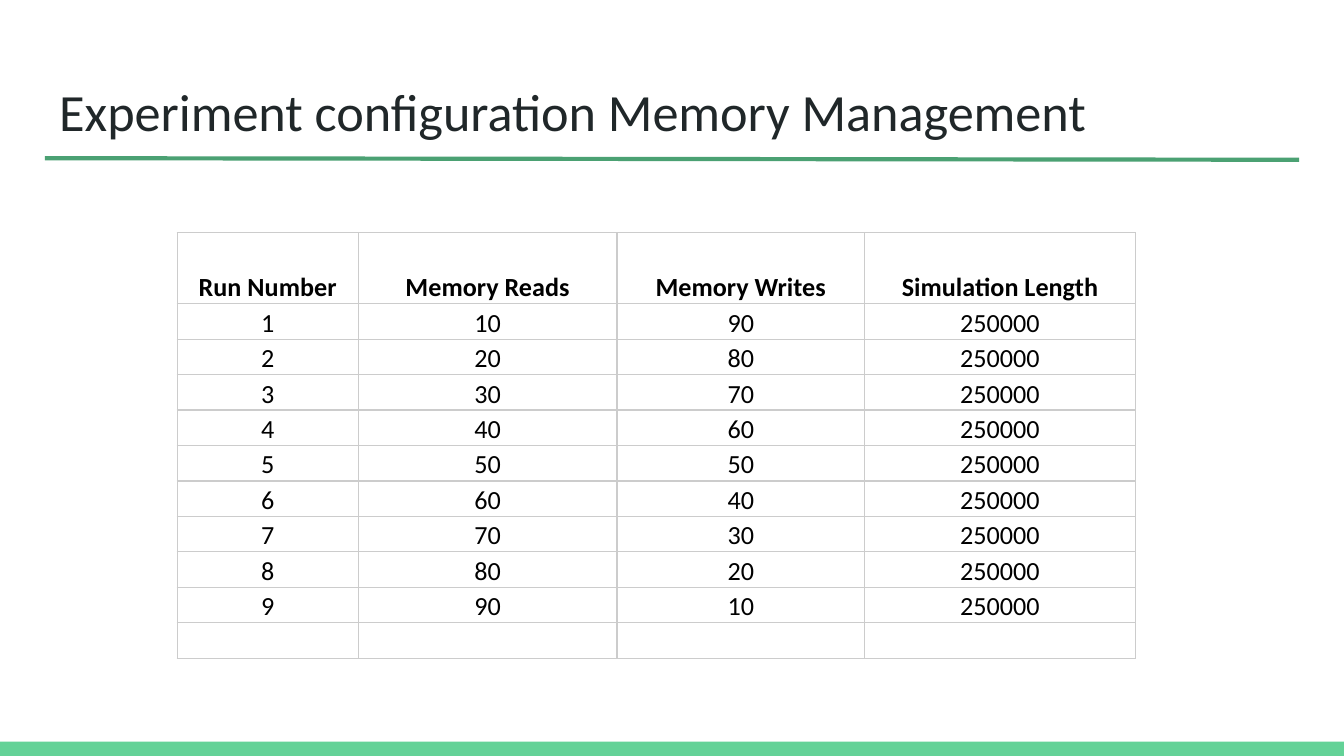
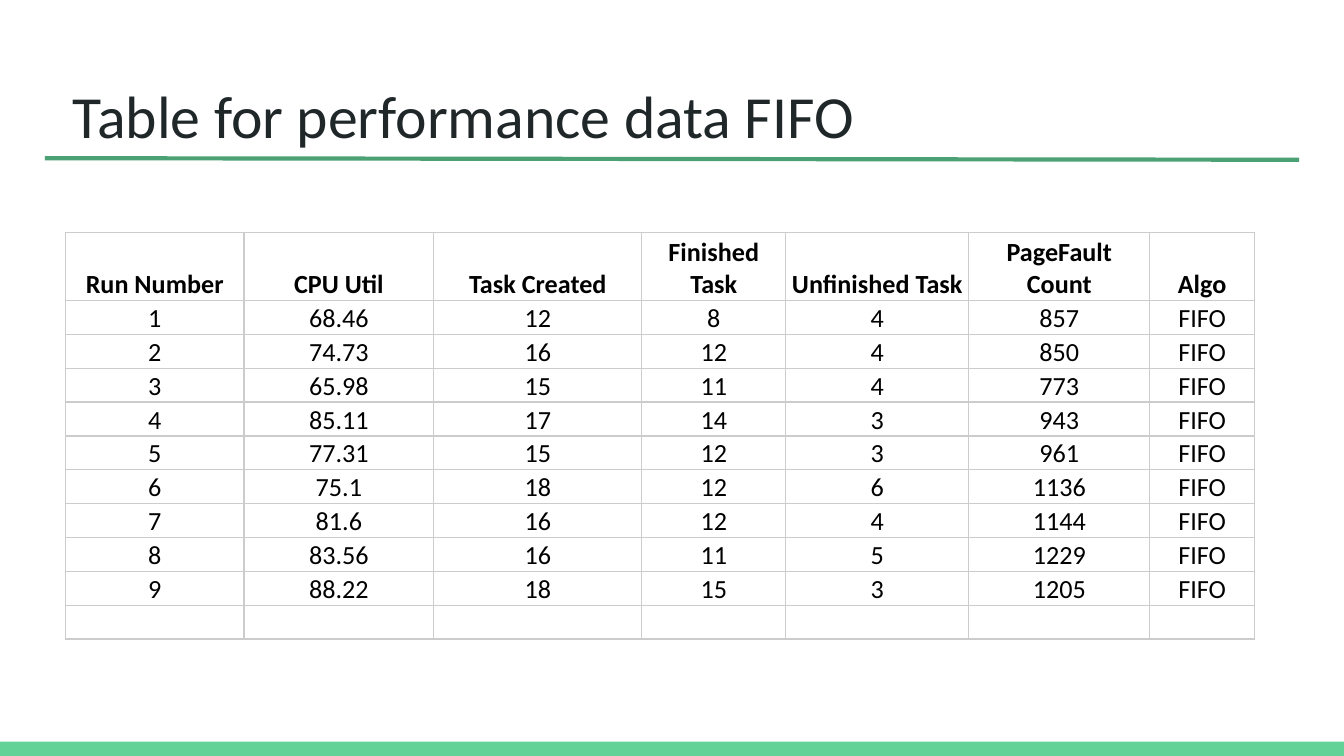
from lxml.etree import SubElement
from pptx import Presentation
from pptx.dml.color import RGBColor
from pptx.enum.shapes import MSO_CONNECTOR, MSO_SHAPE
from pptx.enum.text import MSO_ANCHOR, PP_ALIGN
from pptx.oxml.ns import qn
from pptx.util import Cm, Pt

FONT = "Calibri"
INK, BLACK, GREEN, BAND, GRID = "202729", "000000", "4BA173", "63D297", "CCCCCC"
WIDE, HIGH, FOOT = 25.4, 14.29, 0.27
TOP = 4.4

FAULTS = [
    ("68.46", 12, 8, 4, 857),
    ("74.73", 16, 12, 4, 850),
    ("65.98", 15, 11, 4, 773),
    ("85.11", 17, 14, 3, 943),
    ("77.31", 15, 12, 3, 961),
    ("75.1", 18, 12, 6, 1136),
    ("81.6", 16, 12, 4, 1144),
    ("83.56", 16, 11, 5, 1229),
    ("88.22", 18, 15, 3, 1205),
]

SLIDES = [
    {
        "title": "Experiment configuration Memory Management",
        "size": 28,
        "left": 3.35,
        "row": 0.67,
        "cols": [3.42, 4.89, 4.68, 5.12],
        "head": ["Run Number", "Memory Reads", "Memory Writes", "Simulation Length"],
        "body": [(run, run * 10, 100 - run * 10, 250000) for run in range(1, 10)],
    },
    {
        "title": " Table for performance data FIFO",
        "size": 32,
        "left": 1.24,
        "row": 0.64,
        "cols": [3.37, 3.59, 3.93, 2.72, 3.46, 3.42, 1.98],
        "head": ["Run Number", "CPU Util", "Task Created", "Finished Task",
                 "Unfinished Task", "PageFault Count", "Algo"],
        "body": [(run, *vals, "FIFO") for run, vals in enumerate(FAULTS, 1)],
    },
]


def paint(hue):
    return RGBColor.from_string(hue)


def style(para, size, hue, bold=False):
    for run in para.runs:
        run.font.name = FONT
        run.font.size = Pt(size)
        run.font.bold = bold
        run.font.color.rgb = paint(hue)


def add_frame(slide, title, size):
    band = slide.shapes.add_shape(
        MSO_SHAPE.RECTANGLE, 0, Cm(HIGH - FOOT), Cm(WIDE), Cm(FOOT))
    band.shadow.inherit = False
    band.fill.solid()
    band.fill.fore_color.rgb = paint(BAND)
    band.line.fill.background()

    box = slide.shapes.add_textbox(Cm(0.87), Cm(1.24), Cm(23.67), Cm(1.6))
    frame = box.text_frame
    frame.word_wrap = True
    frame.margin_left = frame.margin_right = Cm(0.25)
    frame.margin_top = frame.margin_bottom = Cm(0.25)
    frame.text = title
    style(frame.paragraphs[0], size, INK)

    rule = slide.shapes.add_connector(
        MSO_CONNECTOR.STRAIGHT, Cm(0.85), Cm(2.99), Cm(24.55), Cm(3.02))
    rule.line.color.rgb = paint(GREEN)
    rule.line.width = Pt(2.25)
    SubElement(rule._element.spPr, qn("a:effectLst"))


def add_edges(cell):
    props = cell._tc.get_or_add_tcPr()
    for side in ("lnL", "lnR", "lnT", "lnB"):
        edge = SubElement(props, qn(f"a:{side}"), w=str(Pt(0.75)))
        fill = SubElement(edge, qn("a:solidFill"))
        SubElement(fill, qn("a:srgbClr"), val=GRID)


def fill_cell(cell, text, bold):
    add_edges(cell)
    cell.fill.background()
    cell.vertical_anchor = MSO_ANCHOR.BOTTOM
    cell.margin_left = cell.margin_right = Cm(0.05)
    cell.margin_top = cell.margin_bottom = 0
    para = cell.text_frame.paragraphs[0]
    para.alignment = PP_ALIGN.CENTER
    if text == "":
        SubElement(para._p, qn("a:endParaRPr"), sz="1400")
    else:
        para.text = str(text)
        style(para, 14, BLACK, bold)


def add_grid(slide, data):
    cols, step = data["cols"], data["row"]
    rows = [data["head"], *data["body"], [""] * len(cols)]
    high = step * (len(rows) + 1)
    table = slide.shapes.add_table(
        len(rows), len(cols), Cm(data["left"]), Cm(TOP),
        Cm(sum(cols)), Cm(high)).table
    table.first_row = table.horz_banding = False
    for col, wide in zip(table.columns, cols):
        col.width = Cm(wide)
    for r, texts in enumerate(rows):
        table.rows[r].height = Cm(step if r else step * 2)
        for c, text in enumerate(texts):
            fill_cell(table.cell(r, c), text, r == 0)


def main():
    deck = Presentation()
    deck.slide_width, deck.slide_height = Cm(WIDE), Cm(HIGH)
    for data in SLIDES:
        slide = deck.slides.add_slide(deck.slide_layouts[6])
        add_frame(slide, data["title"], data["size"])
        add_grid(slide, data)
    deck.save("out.pptx")


if __name__ == "__main__":
    main()
